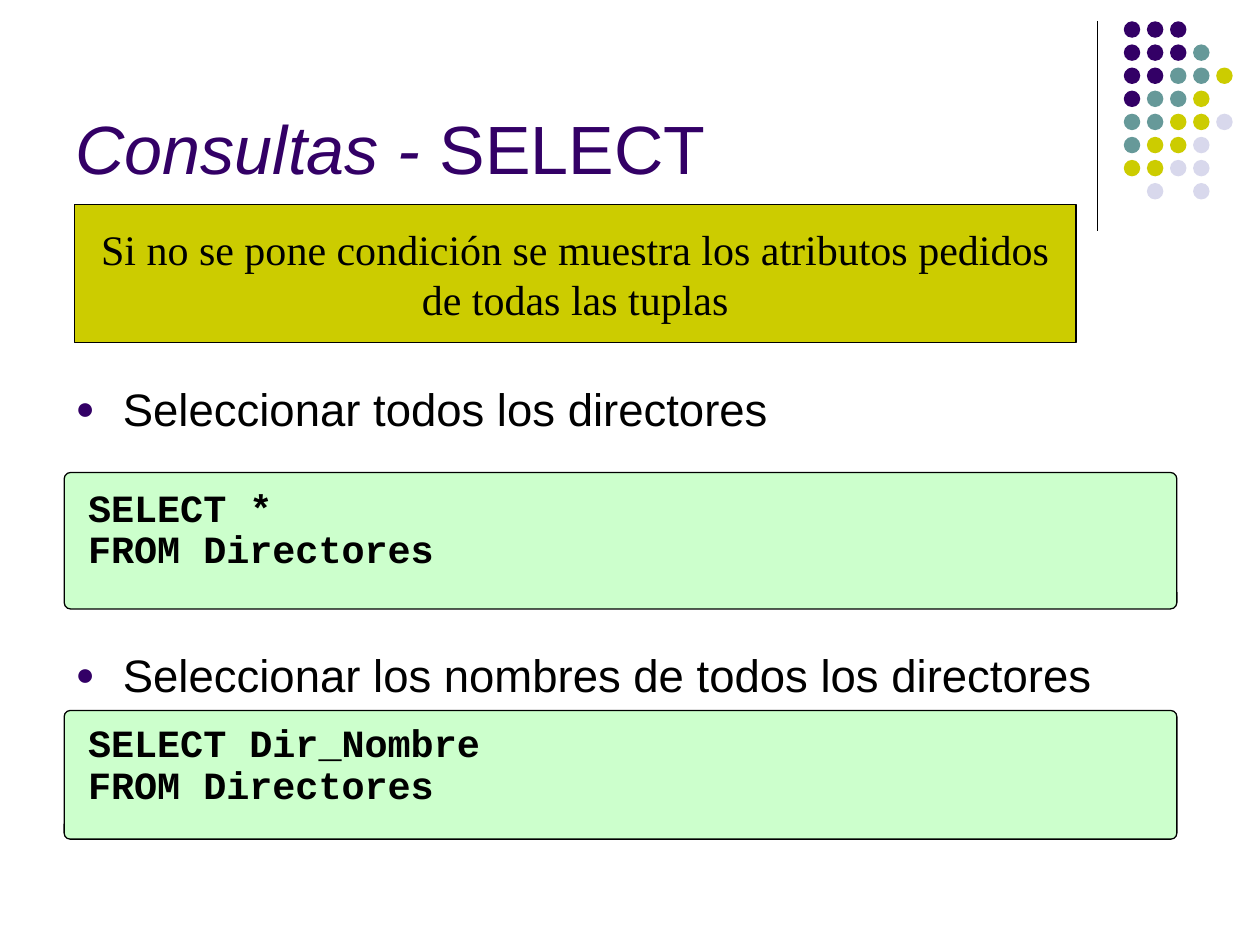
from dataclasses import dataclass

from lxml.etree import SubElement
from pptx import Presentation
from pptx.dml.color import RGBColor
from pptx.enum.shapes import MSO_CONNECTOR, MSO_SHAPE
from pptx.enum.text import MSO_ANCHOR, MSO_AUTO_SIZE, PP_ALIGN
from pptx.oxml.ns import qn
from pptx.util import Pt


@dataclass(frozen=True)
class Theme:
    purple: str = "330066"
    teal: str = "669999"
    olive: str = "CCCC00"
    lavender: str = "D8D8EC"
    green: str = "CCFFCC"
    black: str = "000000"
    sans: str = "Arial"
    serif: str = "Times New Roman"
    mono: str = "Courier New"
    title_size: float = 39
    body_size: float = 26
    banner_size: float = 24
    code_size: float = 22
    line_width: float = 0.75


THEME = Theme()
DOT_COLORS = {"P": THEME.purple, "T": THEME.teal, "O": THEME.olive, "L": THEME.lavender}
DOT_ROWS = ["PPP", "PPPT", "PPTTO", "PTTO", "TTOOL", "TOOL", "OOLL", ".L.L"]
DOT_LEFT, DOT_TOP, DOT_PITCH, DOT_SIZE = 642.2, 12.2, 13.2, 9.4


def place(sp, left, top, width, height):
    sp.left, sp.top, sp.width, sp.height = Pt(left), Pt(top), Pt(width), Pt(height)


def add_run(p, text, font, size, color=THEME.black, bold=False, italic=False):
    r = p.add_run()
    r.text = text
    r.font.name, r.font.size = font, Pt(size)
    r.font.bold, r.font.italic = bold, italic
    r.font.color.rgb = RGBColor.from_string(color)


def add_box(shapes, kind, bounds, fill, outline=None):
    sp = shapes.add_shape(kind, *map(Pt, bounds))
    sp.shadow.inherit = False
    sp.fill.solid()
    sp.fill.fore_color.rgb = RGBColor.from_string(fill)
    if outline:
        sp.line.color.rgb = RGBColor.from_string(outline)
        sp.line.width = Pt(THEME.line_width)
    else:
        sp.line.fill.background()
    return sp


def set_bullet(p):
    pPr = p._p.get_or_add_pPr()
    pPr.set("marL", str(Pt(27)))
    pPr.set("indent", str(-Pt(27)))
    color = SubElement(pPr, qn("a:buClr"))
    SubElement(color, qn("a:srgbClr")).set("val", THEME.purple)
    SubElement(pPr, qn("a:buSzPct")).set("val", "70000")
    SubElement(pPr, qn("a:buFont")).set("typeface", THEME.sans)
    SubElement(pPr, qn("a:buChar")).set("char", "●")


def add_divider(s):
    line = s.shapes.add_connector(MSO_CONNECTOR.STRAIGHT, Pt(627), Pt(12), Pt(627), Pt(132))
    line.line.color.rgb = RGBColor.from_string(THEME.black)
    line.line.width = Pt(THEME.line_width)
    SubElement(line._element.spPr, qn("a:effectLst"))


def add_dots(s):
    group = s.shapes.add_group_shape()
    for row, codes in enumerate(DOT_ROWS):
        for col, code in enumerate(codes):
            if code in DOT_COLORS:
                bounds = (DOT_LEFT + col * DOT_PITCH, DOT_TOP + row * DOT_PITCH,
                          DOT_SIZE, DOT_SIZE)
                add_box(group.shapes, MSO_SHAPE.OVAL, bounds, DOT_COLORS[code])


def fill_title(s):
    title = s.shapes.title
    place(title, 36, 9.4, 594, 102)
    tf = title.text_frame
    tf.auto_size = MSO_AUTO_SIZE.NONE
    tf.vertical_anchor = MSO_ANCHOR.BOTTOM
    p = tf.paragraphs[0]
    p.alignment = PP_ALIGN.LEFT
    add_run(p, "Consultas - ", THEME.sans, THEME.title_size, THEME.purple, italic=True)
    add_run(p, "SELECT", THEME.sans, THEME.title_size, THEME.purple)


def fill_body(s, items, gap):
    """Write the bullets, leaving a gap between them for the code panels."""
    body = s.placeholders[1]
    place(body, 36, 214, 648, 269)
    tf = body.text_frame
    tf.auto_size = MSO_AUTO_SIZE.NONE
    for i, text in enumerate(items):
        p = tf.add_paragraph() if i else tf.paragraphs[0]
        set_bullet(p)
        p.space_before = Pt(gap if i else 0)
        add_run(p, text, THEME.sans, THEME.body_size)


def add_banner(s, lines):
    sp = add_box(s.shapes, MSO_SHAPE.RECTANGLE, (42.5, 116.7, 572.4, 79.2),
                 THEME.olive, THEME.black)
    tf = sp.text_frame
    tf.word_wrap = False
    tf.vertical_anchor = MSO_ANCHOR.MIDDLE
    p = tf.paragraphs[0]
    p.alignment = PP_ALIGN.CENTER
    for i, text in enumerate(lines):
        if i:
            p.add_line_break()
        add_run(p, text, THEME.serif, THEME.banner_size)


def add_code_panel(s, top, height, text_top, lines):
    group = s.shapes.add_group_shape()
    panel = add_box(group.shapes, MSO_SHAPE.ROUNDED_RECTANGLE, (36.7, top, 635.8, height),
                    THEME.green, THEME.black)
    panel.adjustments[0] = 0.047
    tf = group.shapes.add_textbox(Pt(43.2), Pt(text_top), Pt(617.8), Pt(54.7)).text_frame
    tf.word_wrap = True
    for i, text in enumerate(lines):
        p = tf.add_paragraph() if i else tf.paragraphs[0]
        p.line_spacing = 0.9
        add_run(p, text, THEME.mono, THEME.code_size, bold=True)


def main():
    prs = Presentation()
    prs.slide_width, prs.slide_height = Pt(720), Pt(540)
    s = prs.slides.add_slide(prs.slide_layouts[1])
    add_divider(s)
    add_dots(s)
    fill_title(s)
    fill_body(s, ["Seleccionar todos los directores",
                  "Seleccionar los nombres de todos los directores"], gap=121)
    add_banner(s, ["Si no se pone condición se muestra los atributos pedidos",
                   "de todas las tuplas"])
    add_code_panel(s, 270, 78, 275.8, ["SELECT *", "FROM Directores"])
    add_code_panel(s, 406, 73.5, 410.4, ["SELECT Dir_Nombre", "FROM Directores"])
    prs.save("out.pptx")


if __name__ == "__main__":
    main()
